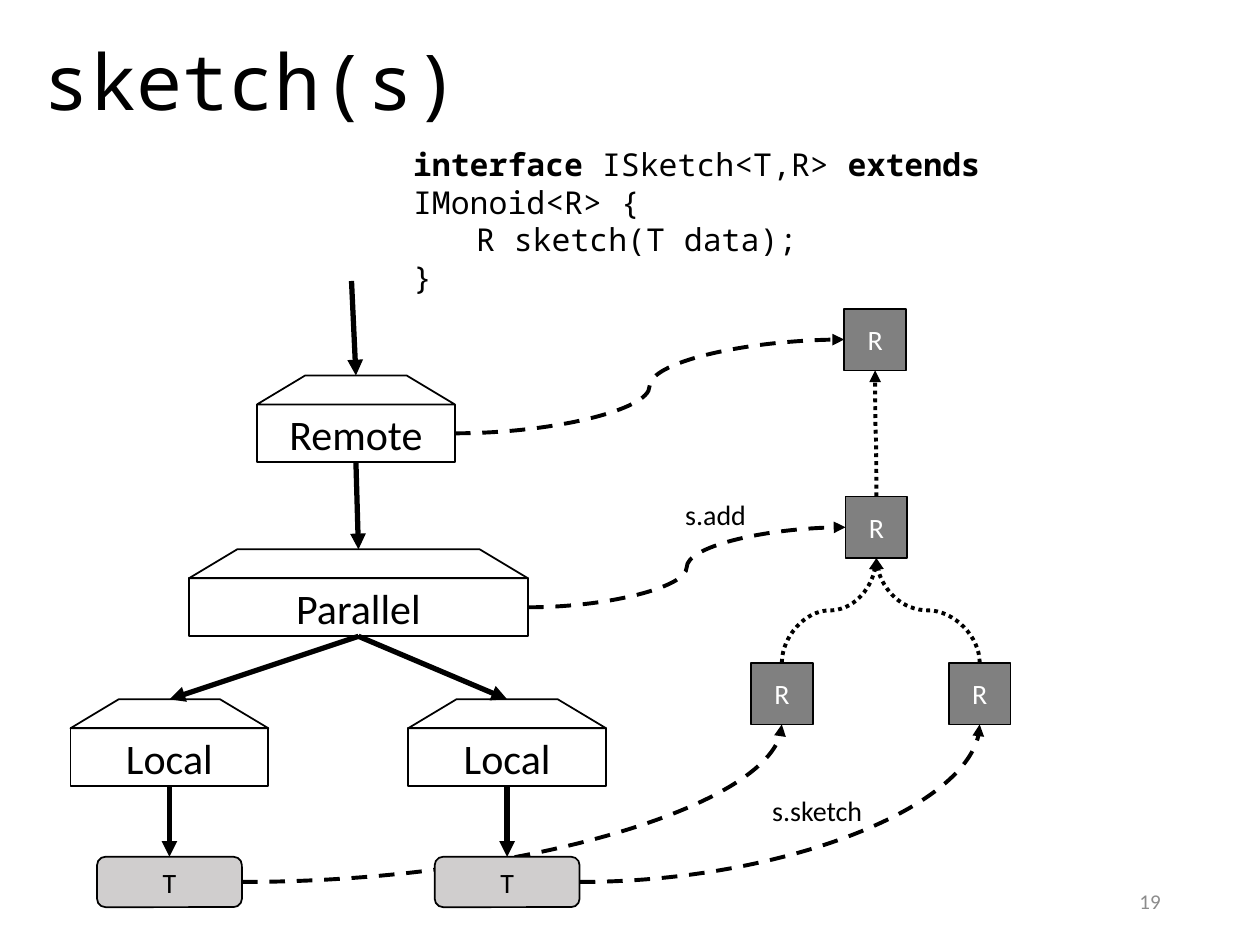
from lxml.etree import SubElement
from pptx import Presentation
from pptx.dml.color import RGBColor
from pptx.enum.dml import MSO_LINE
from pptx.enum.shapes import MSO_CONNECTOR, MSO_SHAPE
from pptx.enum.text import MSO_ANCHOR, PP_ALIGN
from pptx.oxml.ns import qn
from pptx.util import Inches, Pt

COLORS = {"ink": "000000", "result": "808080", "data": "D0CECE",
          "white": "FFFFFF", "page": "8C8C8C"}
SANS, MONO = "Calibri", "Noto Sans Mono"
TOP, LEFT, BOTTOM, RIGHT = range(4)  # connection sites
ROOF, WALL = 0.23, 0.46              # heights of the two parts of a node


def color(name):
    return RGBColor.from_string(COLORS[name])


def style_text(paragraph, size, font=SANS, ink="ink", align=PP_ALIGN.LEFT):
    paragraph.alignment = align
    paragraph.font.size = Pt(size)
    paragraph.font.name = font
    paragraph.font.color.rgb = color(ink)


def add_label(slide, text, box, size, wrap=True, anchor=MSO_ANCHOR.TOP, **style):
    frame = slide.shapes.add_textbox(*map(Inches, box)).text_frame
    frame.word_wrap = wrap
    frame.vertical_anchor = anchor
    paragraph = frame.paragraphs[0]
    paragraph.text = text
    style_text(paragraph, size, **style)
    return paragraph


def add_block(shapes, preset, box, text="", size=16, fill=None, ink="ink"):
    block = shapes.add_shape(preset, *map(Inches, box))
    block.shadow.inherit = False
    if fill:
        block.fill.solid()
        block.fill.fore_color.rgb = color(fill)
    else:
        block.fill.background()
    block.line.color.rgb = color("ink")
    block.line.width = Pt(1)
    if text:
        frame = block.text_frame
        frame.vertical_anchor = MSO_ANCHOR.MIDDLE
        frame.word_wrap = fill is not None
        frame.paragraphs[0].text = text
        style_text(frame.paragraphs[0], size, ink=ink, align=PP_ALIGN.CENTER)
    return block


def add_node(slide, text, left, top, width):
    """A house-shaped tree node; returns its roof and wall."""
    shapes = slide.shapes.add_group_shape().shapes
    roof = add_block(shapes, MSO_SHAPE.TRAPEZOID, (left, top, width, ROOF))
    roof.adjustments[0] = 1.667
    wall = add_block(shapes, MSO_SHAPE.RECTANGLE,
                     (left, top + ROOF, width, WALL), text, 24)
    return roof, wall


def add_result(slide, left, top):
    return add_block(slide.shapes, MSO_SHAPE.RECTANGLE, (left, top, 0.49, 0.49),
                     "R", fill="result", ink="white")


def add_data(slide, left, top):
    return add_block(slide.shapes, MSO_SHAPE.ROUNDED_RECTANGLE,
                     (left, top, 1.15, 0.4), "T", fill="data")


def turn_upward(link):
    """Make a curve leave and arrive vertically, running up the slide."""
    width, height = link.width, link.height
    goes_left = link.end_x < link.begin_x
    center_x, center_y = link.left + width // 2, link.top + height // 2
    link.left, link.top = center_x - height // 2, center_y - width // 2
    link.width, link.height = height, width
    frame = link._element.spPr.find(qn("a:xfrm"))
    for flip in ("flipH", "flipV"):
        frame.attrib.pop(flip, None)
    frame.set("rot", str(270 * 60000))
    if goes_left:
        frame.set("flipV", "1")


def add_link(slide, start, end, kind=MSO_CONNECTOR.STRAIGHT, width=3, dash=None):
    """Arrow between two (shape, site) ends, kept behind the blocks."""
    link = slide.shapes.add_connector(kind, 0, 0, 0, 0)
    link.begin_connect(*start)
    link.end_connect(*end)
    style_link(slide, link, width, dash)
    return link


def style_link(slide, link, width, dash=None):
    link.line.color.rgb = color("ink")
    link.line.width = Pt(width)
    if dash:
        link.line.dash_style = dash
    SubElement(link.line._get_or_add_ln(), qn("a:tailEnd"), type="triangle")
    SubElement(link._element.spPr, qn("a:effectLst"))
    slide.shapes._spTree.insert(2, link._element)


def add_heading(slide):
    add_label(slide, "sketch(s)", (0.25, 0.13, 9.1, 1.09), 44, font=MONO,
              anchor=MSO_ANCHOR.MIDDLE).line_spacing = 0.9


def add_code(slide, box):
    code = add_label(slide, "", box, 18, font=MONO)
    for text, bold in (("interface ", True), ("ISketch<T,R> ", False),
                       ("extends ", True), ("IMonoid<R> {", False)):
        run = code.add_run()
        run.text = text
        run.font.bold = bold
    for text in ("\tR sketch(T data);", "}"):
        code.add_line_break()
        code.add_run().text = text


def add_tree(slide, left, top):
    """Execution tree; returns its walls and data blocks."""
    remote_roof, remote = add_node(slide, "Remote", left + 1.48, top, 1.57)
    parallel_roof, parallel = add_node(slide, "Parallel", left + 0.94, top + 1.38, 2.69)
    add_link(slide, (remote, BOTTOM), (parallel_roof, TOP))
    data_blocks = []
    for x in (left, left + 2.68):
        local_roof, local = add_node(slide, "Local", x, top + 2.57, 1.57)
        data = add_data(slide, x + 0.21, top + 3.82)
        add_link(slide, (parallel, BOTTOM), (local_roof, TOP))
        add_link(slide, (local, BOTTOM), (data, TOP))
        data_blocks.append(data)
    # Incoming call
    call = slide.shapes.add_connector(
        MSO_CONNECTOR.STRAIGHT, Inches(left + 2.23), Inches(top - 0.75), 0, 0)
    call.end_connect(remote_roof, TOP)
    style_link(slide, call, 3)
    return remote, parallel, data_blocks


def add_results(slide, left, top):
    """Merged results, from the root down to the leaves."""
    root = add_result(slide, left + 0.74, top)
    merged = add_result(slide, left + 0.75, top + 1.49)
    leaves = [add_result(slide, left + dx, top + 2.81) for dx in (0, 1.57)]
    for lower, upper in ((merged, root), *((leaf, merged) for leaf in leaves)):
        turn_upward(add_link(slide, (lower, TOP), (upper, BOTTOM), MSO_CONNECTOR.CURVE,
                             2.25, MSO_LINE.ROUND_DOT))
    return root, merged, leaves


def add_flows(slide, tree, results):
    """Dashed curves from the tree to the results."""
    remote, parallel, data_blocks = tree
    root, merged, leaves = results
    dashed = (MSO_CONNECTOR.CURVE, 2.25, MSO_LINE.DASH)
    for node, result in ((remote, root), (parallel, merged)):
        add_link(slide, (node, RIGHT), (result, LEFT), *dashed)
    for data, leaf in zip(data_blocks, leaves):
        flow = add_link(slide, (data, RIGHT), (leaf, BOTTOM), *dashed)
        flow._element.spPr.find(qn("a:prstGeom")).set("prst", "curvedConnector2")
    add_label(slide, "s.add", (5.34, 3.9, 1.76, 0.37), 16)
    add_label(slide, "s.sketch", (6.03, 6.25, 0.92, 0.37), 16, wrap=False)


def main():
    deck = Presentation()
    deck.slide_width, deck.slide_height = Inches(10), Inches(7.5)
    slide = deck.slides.add_slide(deck.slide_layouts[6])
    add_heading(slide)
    tree = add_tree(slide, 0.56, 2.98)
    results = add_results(slide, 5.96, 2.45)
    add_flows(slide, tree, results)
    add_code(slide, (3.18, 1.1, 6.17, 1.01))
    # Page number
    add_label(slide, "19", (7.06, 6.95, 2.25, 0.4), 12, ink="page",
              align=PP_ALIGN.RIGHT, anchor=MSO_ANCHOR.MIDDLE)
    deck.save("out.pptx")


if __name__ == "__main__":
    main()
